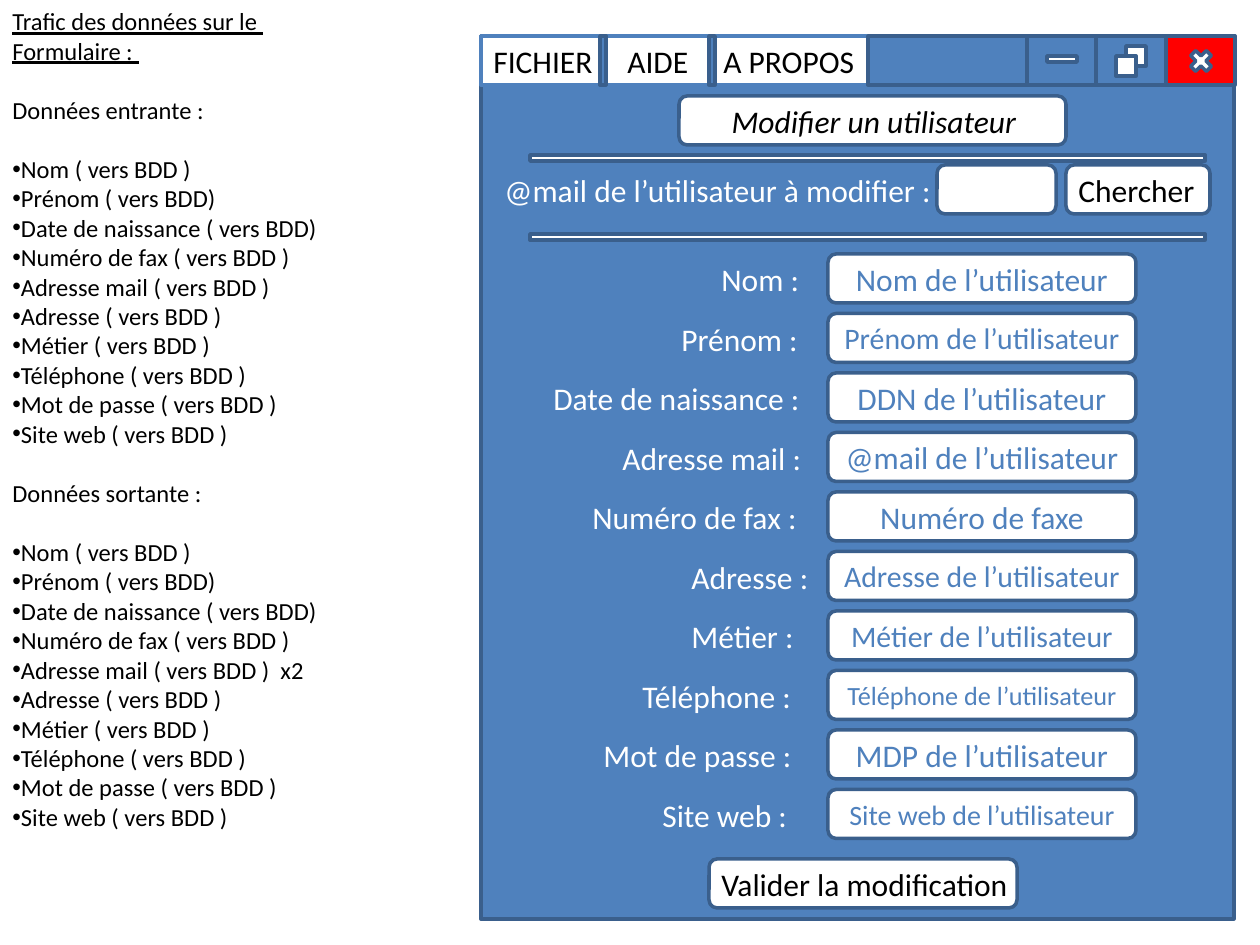
"""Build the slide showing the user-editing form and its data traffic."""
from lxml import etree
from pptx import Presentation
from pptx.dml.color import RGBColor
from pptx.enum.shapes import MSO_SHAPE
from pptx.enum.text import MSO_ANCHOR, MSO_AUTO_SIZE, PP_ALIGN
from pptx.oxml.ns import qn
from pptx.util import Emu, Inches, Pt

COLORS = {"blue": "4F81BD", "edge": "3A5F8C", "white": "FFFFFF", "black": "000000", "red": "FF0000"}
FONT = "Calibri"
PIXEL = Inches(1) / 126
BAR_TOP, BOX_HEIGHT, TEXT_HEIGHT = 36, 49, 50
FIELD_LEFT, FIELD_WIDTH = 828, 308
FIRST_ROW, ROW_STEP = 254, 59.5

WINDOW = [
    (481, BAR_TOP, 753, 883, "blue", "edge"),
    (481, BAR_TOP, 753, BOX_HEIGHT, "white", "blue"),
    (1166, BAR_TOP, 69, BOX_HEIGHT, "red", "edge"),
    (1096, BAR_TOP, 70, BOX_HEIGHT, "blue", "edge"),
    (1027, BAR_TOP, 69, BOX_HEIGHT, "blue", "edge"),
    (868, BAR_TOP, 159, BOX_HEIGHT, "blue", "edge"),
    (600, BAR_TOP, 6, BOX_HEIGHT, "blue", "edge"),
    (709, BAR_TOP, 6, BOX_HEIGHT, "blue", "edge"),
    (1047, 56, 30, 6, "white", "edge"),
    (1126, 46, 20, 20, "white", "edge"),
    (1116, 56, 20, 20, "white", "edge"),
    (530, 155, 675, 6, "white", "edge"),
    (530, 234, 675, 6, "white", "edge"),
]
CLOSE_CROSS = (1186, 46, 30, 30)
MENU = [("FICHIER", 481, 125), ("AIDE", 615, 90), ("A PROPOS", 711, 160)]
TITLE, TITLE_PLACE = "Modifier un utilisateur", (719, 96, 328, TEXT_HEIGHT)
ROUNDED = [(679, 96, 387), (937, 165, 119), (1066, 165, 144), (709, 859, 308)]
CAPTIONS = [
    ("@mail de l’utilisateur à modifier :", 492, 165, 457, "white"),
    ("Chercher", 1066, 165, 142, "black"),
    ("Valider la modification", 709, 859, 315, "black"),
]
FIELDS = [
    ("Nom :", 709, 105, "Nom de l’utilisateur", 18),
    ("Prénom :", 669, 144, "Prénom de l’utilisateur", 17),
    ("Date de naissance :", 541, 275, "DDN de l’utilisateur", 18),
    ("Adresse mail :", 610, 207, "@mail de l’utilisateur", 18),
    ("Numéro de fax :", 580, 232, "Numéro de faxe", 18),
    ("Adresse :", 679, 144, "Adresse de l’utilisateur", 17),
    ("Métier :", 679, 129, "Métier de l’utilisateur", 17),
    ("Téléphone :", 630, 176, "Téléphone de l’utilisateur", 15),
    ("Mot de passe :", 591, 215, "MDP de l’utilisateur", 18),
    ("Site web :", 650, 151, "Site web de l’utilisateur", 16),
]
HEADING = ["Trafic des données sur le ", "Formulaire : "]
BEFORE_MAIL = ["Nom ( vers BDD )", "Prénom ( vers BDD)", "Date de naissance ( vers BDD)",
               "Numéro de fax ( vers BDD )"]
AFTER_MAIL = ["Adresse ( vers BDD )", "Métier ( vers BDD )", "Téléphone ( vers BDD )",
              "Mot de passe ( vers BDD )", "Site web ( vers BDD )"]
MAIL = "Adresse mail ( vers BDD )"
TRAFFIC = [
    ("Données entrante :", BEFORE_MAIL + [MAIL] + AFTER_MAIL),
    ("Données sortante :", BEFORE_MAIL + [MAIL + "  x2"] + AFTER_MAIL),
]
NOTES_PLACE, NOTES_SIZE, NOTES_GAP = (0, 0, 333, 844), 14, Pt(17)


def px(*lengths):
    return [Emu(round(length * PIXEL)) for length in lengths]


def rgb(name):
    return RGBColor.from_string(COLORS[name])


def write(paragraph, text, size, color, **style):
    run = paragraph.add_run()
    run.text = text
    run.font.name, run.font.size = FONT, Pt(size)
    run.font.color.rgb = rgb(color)
    for name, value in style.items():
        setattr(run.font, name, value)


def add_box(place, fill="white", line="edge", kind=MSO_SHAPE.RECTANGLE):
    box = slide.shapes.add_shape(kind, *px(*place))
    box.shadow.inherit = False
    box.fill.solid()
    box.fill.fore_color.rgb = rgb(fill)
    box.line.color.rgb = rgb(line)
    box.line.width = Pt(2)
    return box


def add_rounded(left, top, width):
    return add_box((left, top, width, BOX_HEIGHT), kind=MSO_SHAPE.ROUNDED_RECTANGLE)


def add_frame(place):
    frame = slide.shapes.add_textbox(*px(*place)).text_frame
    frame.word_wrap = False
    return frame


def add_caption(text, left, top, width, color):
    frame = add_frame((left, top, width, TEXT_HEIGHT))
    write(frame.paragraphs[0], text, 18, color)


def add_notes():
    frame = add_frame(NOTES_PLACE)
    entries = [(text, "heading") for text in HEADING]
    for subject, items in TRAFFIC:
        entries.append((subject, "subject"))
        entries += [(item, "item") for item in items]
    for index, (text, role) in enumerate(entries):
        paragraph = frame.add_paragraph() if index else frame.paragraphs[0]
        write(paragraph, text, NOTES_SIZE, "black", underline=role == "heading")
        if role == "subject":
            paragraph.space_before = paragraph.space_after = NOTES_GAP
        elif role == "item":
            properties = paragraph._p.get_or_add_pPr()
            etree.SubElement(properties, qn("a:buFont"), typeface="Arial")
            etree.SubElement(properties, qn("a:buChar"), char="•")


def place_title():
    title = slide.shapes.title
    title.left, title.top, title.width, title.height = px(*TITLE_PLACE)
    frame = title.text_frame
    frame.auto_size = MSO_AUTO_SIZE.NONE
    frame.vertical_anchor = MSO_ANCHOR.TOP
    frame.paragraphs[0].alignment = PP_ALIGN.LEFT
    write(frame.paragraphs[0], TITLE, 18, "black", italic=True)
    slide.shapes.element.append(title.element)


prs = Presentation()
prs.slide_width, prs.slide_height = Inches(10), Inches(7.5)
slide = prs.slides.add_slide(prs.slide_layouts[5])

for *place, fill, line in WINDOW:
    add_box(place, fill, line)
add_box(CLOSE_CROSS, kind=MSO_SHAPE.MATH_MULTIPLY)
for text, left, width in MENU:
    add_caption(text, left, BAR_TOP, width, "black")
for place in ROUNDED:
    add_rounded(*place)
place_title()
for caption in CAPTIONS:
    add_caption(*caption)
for row, (label, left, width, value, size) in enumerate(FIELDS):
    top = FIRST_ROW + row * ROW_STEP
    add_caption(label, left, top, width, "white")
    frame = add_rounded(FIELD_LEFT, top, FIELD_WIDTH).text_frame
    frame.word_wrap = True
    frame.vertical_anchor = MSO_ANCHOR.MIDDLE
    frame.paragraphs[0].alignment = PP_ALIGN.CENTER
    write(frame.paragraphs[0], value, size, "blue")
add_notes()

prs.save("out.pptx")
